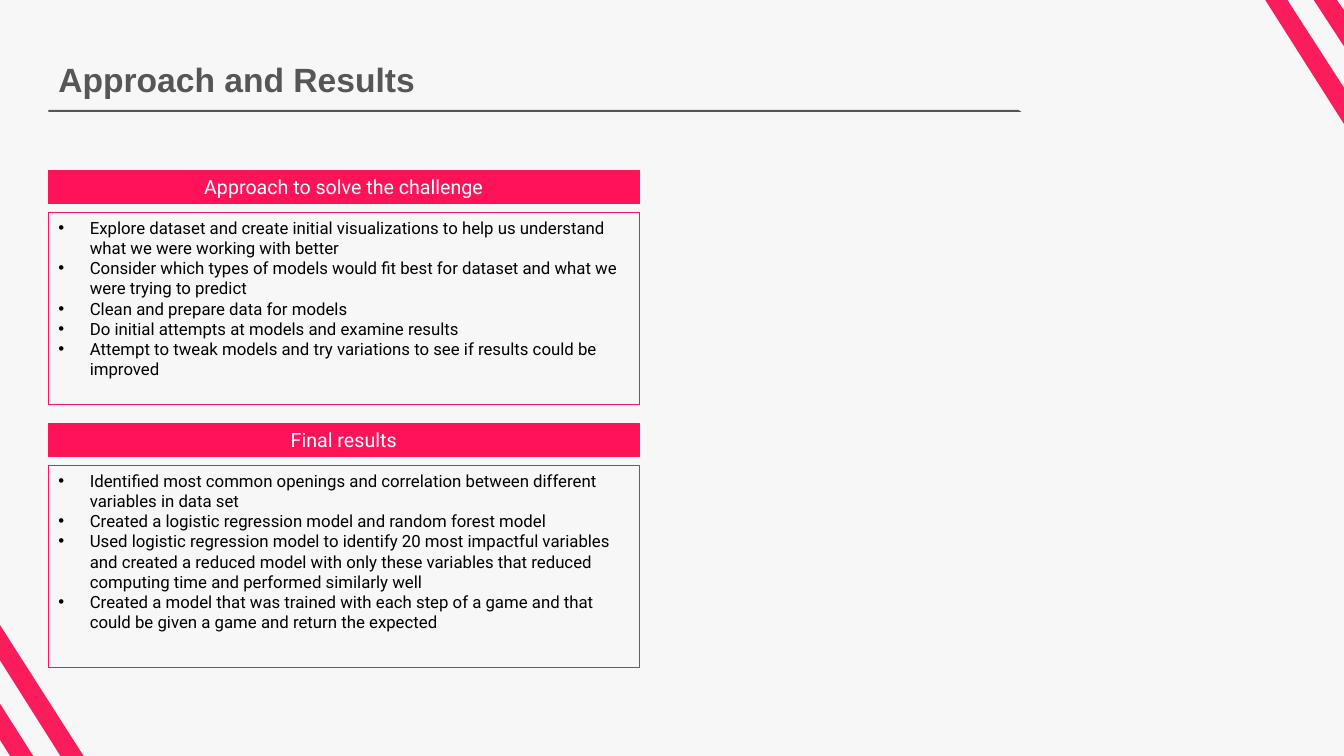
from dataclasses import dataclass
from math import cos, radians, sin

from lxml.etree import SubElement
from pptx import Presentation
from pptx.dml.color import RGBColor
from pptx.enum.shapes import MSO_SHAPE
from pptx.enum.text import MSO_ANCHOR, PP_ALIGN
from pptx.oxml.ns import qn
from pptx.shapes.autoshape import Shape
from pptx.slide import Slide
from pptx.text.text import TextFrame, _Paragraph as Paragraph
from pptx.util import Inches, Pt

BACKGROUND = RGBColor(0xF7, 0xF7, 0xF7)
GRAY = RGBColor(0x56, 0x56, 0x56)
STRIPE_PINK = RGBColor(0xFB, 0x1C, 0x5C)
PANEL_PINK = RGBColor(0xFE, 0x13, 0x59)
WHITE = RGBColor(0xFF, 0xFF, 0xFF)
BLACK = RGBColor(0x00, 0x00, 0x00)

SLIDE_WIDTH, SLIDE_HEIGHT = 13.33, 7.5
LEFT = 0.48
PANEL_WIDTH = 5.86
HEADER_HEIGHT = 0.33
BODY_OFFSET = 0.42
BULLET_INDENT = Pt(22.5)

Point = tuple[float, float]


@dataclass(frozen=True)
class Outline:
    points: list[Point]
    color: RGBColor = STRIPE_PINK
    rotation: float = 210


@dataclass(frozen=True)
class Panel:
    heading: str
    top: float
    body_height: float
    bullets: list[str]


OUTLINES = [
    Outline([(LEFT, 1.09), (10.1, 1.09), (10.13, 1.11), (LEFT, 1.11)], GRAY, 30),
    Outline([(0, 6.2), (0.83, 7.5), (0.6, 7.5), (0, 6.55)]),
    Outline([(0, 6.98), (0.33, 7.5), (0.1, 7.5), (0, 7.34)]),
    Outline([(13.03, 0), (13.26, 0), (13.33, 0.1), (13.33, 0.46)]),
    Outline([(12.55, 0), (12.77, 0), (13.33, 0.87), (13.33, 1.23)]),
]

PANELS = [
    Panel("Approach to solve the challenge", 1.69, 1.9, [
        "Explore dataset and create initial visualizations to help us understand "
        "what we were working with better",
        "Consider which types of models would fit best for dataset and what we "
        "were trying to predict",
        "Clean and prepare data for models",
        "Do initial attempts at models and examine results",
        "Attempt to tweak models and try variations to see if results could be improved",
    ]),
    Panel("Final results", 4.2, 2, [
        "Identified most common openings and correlation between different "
        "variables in data set",
        "Created a logistic regression model and random forest model",
        "Used logistic regression model to identify 20 most impactful variables "
        "and created a reduced model with only these variables that reduced "
        "computing time and performed similarly well",
        "Created a model that was trained with each step of a game and that "
        "could be given a game and return the expected",
    ]),
]


def add_run(paragraph: Paragraph, text: str, font_name: str, size: float,
            color: RGBColor, bold: bool = False) -> None:
    run = paragraph.add_run()
    run.text = text
    run.font.name = font_name
    run.font.size = Pt(size)
    run.font.bold = bold
    run.font.color.rgb = color


def rotate(point: Point, degrees: float) -> Point:
    """Turn a point clockwise about the slide's top left corner."""
    x, y = point
    cosine, sine = cos(radians(degrees)), sin(radians(degrees))
    return x * cosine - y * sine, x * sine + y * cosine


def draw_outline(slide: Slide, outline: Outline) -> None:
    """Draw a rotated freeform whose turned corners land on the outline's points."""
    turned = [rotate(point, -outline.rotation) for point in outline.points]
    points = [(Inches(x), Inches(y)) for x, y in turned]
    builder = slide.shapes.build_freeform(*points[0])
    builder.add_line_segments(points[1:], close=True)
    shape = builder.convert_to_shape()
    center = shape.left + shape.width / 2, shape.top + shape.height / 2
    center_x, center_y = rotate(center, outline.rotation)
    shape.left = round(center_x - shape.width / 2)
    shape.top = round(center_y - shape.height / 2)
    shape.rotation = outline.rotation
    shape.shadow.inherit = False
    shape.fill.solid()
    shape.fill.fore_color.rgb = outline.color
    shape.line.fill.background()


def add_title(slide: Slide, text: str) -> None:
    box = slide.shapes.add_textbox(Inches(LEFT), Inches(0.57), Inches(9.66), Inches(0.42))
    frame = box.text_frame
    frame.word_wrap = True
    frame.vertical_anchor = MSO_ANCHOR.MIDDLE
    frame.margin_bottom = 0
    paragraph = frame.paragraphs[0]
    paragraph.line_spacing = 0.9
    add_run(paragraph, text, "Arial", 24, GRAY, bold=True)


def add_panel_box(slide: Slide, top: float, height: float) -> Shape:
    shape = slide.shapes.add_shape(
        MSO_SHAPE.RECTANGLE, Inches(LEFT), Inches(top), Inches(PANEL_WIDTH), Inches(height))
    shape.shadow.inherit = False
    shape.fill.background()
    shape.line.color.rgb = PANEL_PINK
    shape.line.width = Pt(0.75)
    shape.text_frame.word_wrap = True
    return shape


def add_bullet(paragraph: Paragraph) -> None:
    properties = paragraph._p.get_or_add_pPr()
    properties.set("marL", str(BULLET_INDENT))
    properties.set("indent", str(-BULLET_INDENT))
    color = SubElement(properties, qn("a:buClr"))
    SubElement(color, qn("a:srgbClr")).set("val", str(BLACK))
    SubElement(properties, qn("a:buFont")).set("typeface", "Arial")
    SubElement(properties, qn("a:buChar")).set("char", "•")


def fill_bullets(frame: TextFrame, bullets: list[str]) -> None:
    frame.vertical_anchor = MSO_ANCHOR.TOP
    for index, text in enumerate(bullets):
        paragraph = frame.add_paragraph() if index else frame.paragraphs[0]
        paragraph.alignment = PP_ALIGN.LEFT
        add_bullet(paragraph)
        add_run(paragraph, text, "Roboto", 12, BLACK)


def draw_panel(slide: Slide, panel: Panel) -> None:
    header = add_panel_box(slide, panel.top, HEADER_HEIGHT)
    header.fill.solid()
    header.fill.fore_color.rgb = PANEL_PINK
    header.text_frame.vertical_anchor = MSO_ANCHOR.MIDDLE
    paragraph = header.text_frame.paragraphs[0]
    paragraph.alignment = PP_ALIGN.CENTER
    add_run(paragraph, panel.heading, "Roboto", 14, WHITE)

    body = add_panel_box(slide, panel.top + BODY_OFFSET, panel.body_height)
    fill_bullets(body.text_frame, panel.bullets)


def main() -> None:
    presentation = Presentation()
    presentation.slide_width = Inches(SLIDE_WIDTH)
    presentation.slide_height = Inches(SLIDE_HEIGHT)
    slide = presentation.slides.add_slide(presentation.slide_layouts[6])
    slide.background.fill.solid()
    slide.background.fill.fore_color.rgb = BACKGROUND

    for outline in OUTLINES:
        draw_outline(slide, outline)
    add_title(slide, "Approach and Results")
    for panel in PANELS:
        draw_panel(slide, panel)
    presentation.save("out.pptx")


if __name__ == "__main__":
    main()
